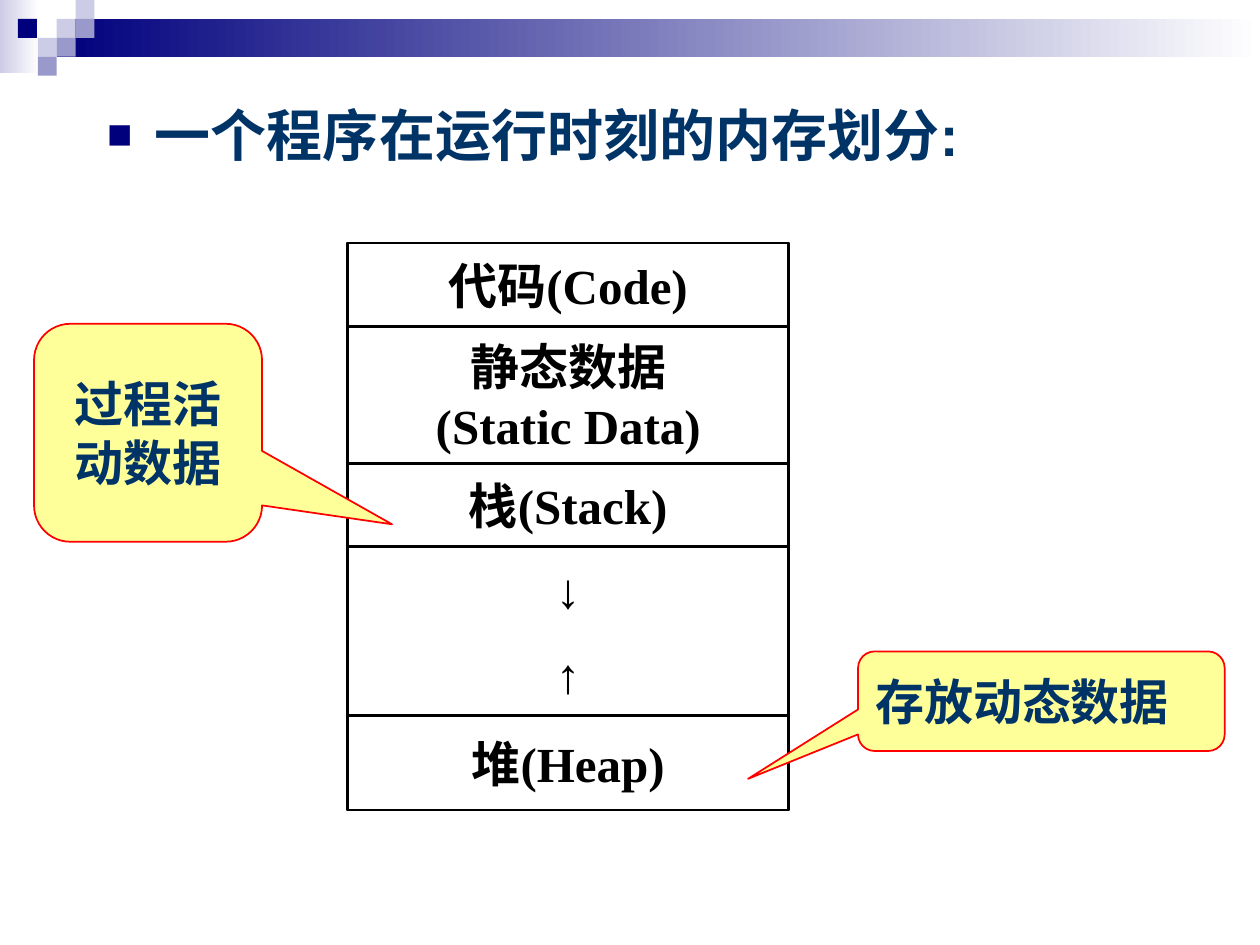
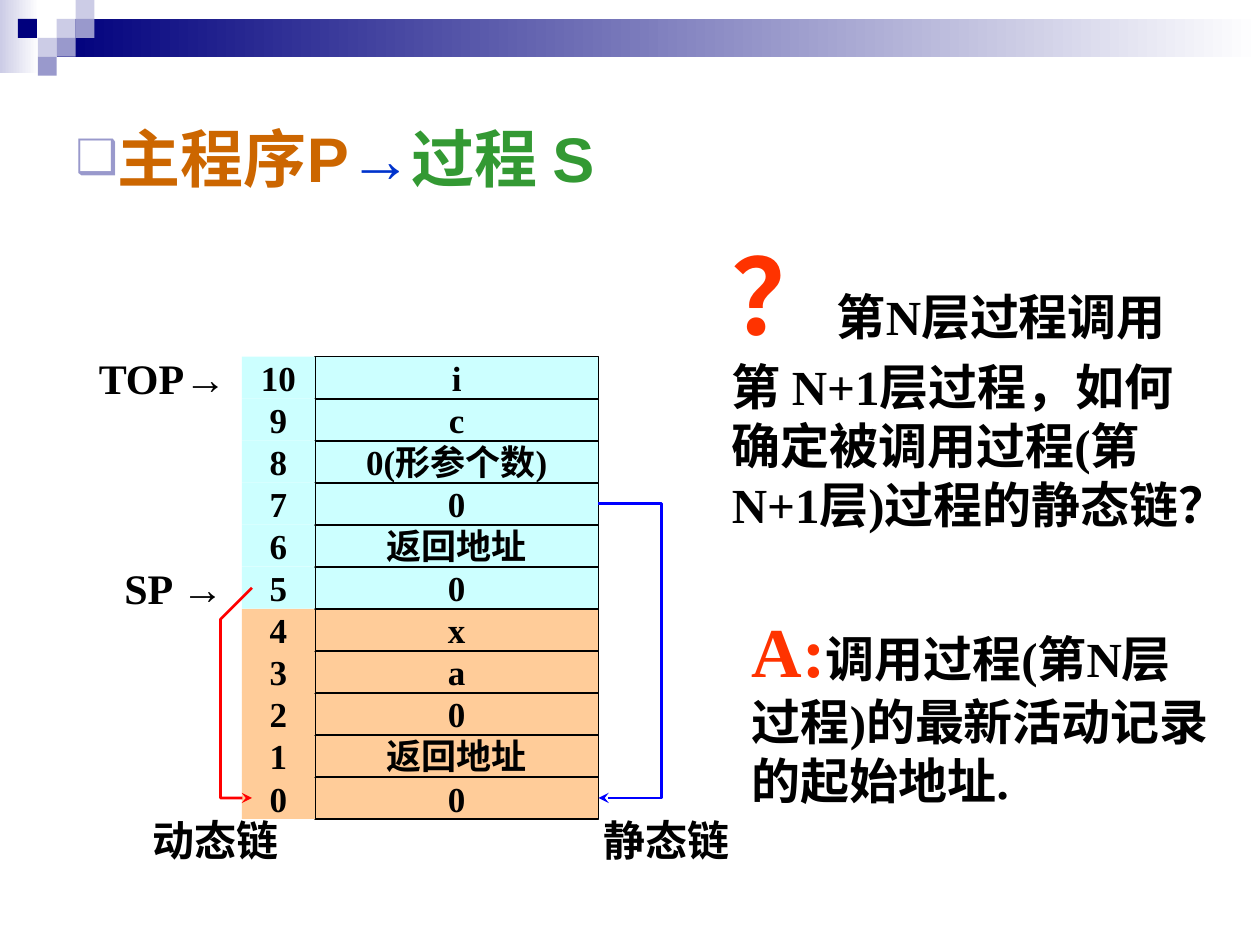
from dataclasses import dataclass
from typing import NamedTuple

from lxml import etree
from pptx import Presentation
from pptx import util as u
from pptx.dml.color import RGBColor
from pptx.enum import shapes, text
from pptx.oxml import ns


@dataclass(frozen=True)
class Theme:
    sans: str = "Arial"
    serif: str = "Times New Roman"
    black: str = "000000"
    white: str = "FFFFFF"
    navy: str = "00007D"
    lilac: str = "9999CC"
    pale_lilac: str = "CCCCE6"
    ink: str = "003366"
    note: str = "FFFF99"
    red: str = "FF0000"
    blue: str = "0000FF"
    accent: str = "FF3300"
    caller: str = "CC6600"
    arrow: str = "0033CC"
    callee: str = "339933"
    main_record: str = "FFCC99"
    call_record: str = "CCFFFF"
    question_mark: int = 60
    answer_mark: int = 40
    call_title: int = 36
    heading: int = 32
    body: int = 28
    label: int = 24
    cell: int = 20


T = Theme()


class Box(NamedTuple):
    left: float
    top: float
    width: float
    height: float

    def inches(self):
        return [u.Inches(length) for length in self]


class Words(NamedTuple):
    """One run of text with its look."""
    content: str
    size: int
    color: str = T.black
    font: str = T.serif


def rgb(color):
    return RGBColor.from_string(color)


def add_words(paragraph, runs):
    for words in runs:
        run = paragraph.add_run()
        run.text = words.content
        run.font.size = u.Pt(words.size)
        run.font.name = words.font
        run.font.bold = True
        run.font.color.rgb = rgb(words.color)


def write(shape, lines, align=text.PP_ALIGN.CENTER, anchor=text.MSO_ANCHOR.MIDDLE,
          wrap=False, margin=0.05):
    """Fill a shape with paragraphs, each a list of Words."""
    frame = shape.text_frame
    frame.word_wrap = wrap
    frame.vertical_anchor = anchor
    frame.margin_left = frame.margin_right = u.Inches(0.1)
    frame.margin_top = frame.margin_bottom = u.Inches(margin)
    for index, runs in enumerate(lines):
        paragraph = frame.add_paragraph() if index else frame.paragraphs[0]
        paragraph.alignment = align
        add_words(paragraph, runs)


def add_block(slide, box, fill=None, line=None, weight=1.5,
              kind=shapes.MSO_SHAPE.RECTANGLE):
    block = slide.shapes.add_shape(kind, *box.inches())
    block.shadow.inherit = False
    if fill:
        block.fill.solid()
        block.fill.fore_color.rgb = rgb(fill)
    else:
        block.fill.background()
    if line:
        block.line.color.rgb = rgb(line)
        block.line.width = u.Pt(weight)
    else:
        block.line.fill.background()
    return block


def add_label(slide, box, runs, **layout):
    write(slide.shapes.add_textbox(*box.inches()), [runs], **layout)


def add_header(slide):
    """Fading bands and the checkered corner."""
    for box, start in ((Box(0, 0, 0.31, 0.58), T.pale_lilac),
                       (Box(0.45, 0.15, 9.55, 0.3), T.navy)):
        band = add_block(slide, box)
        band.fill.gradient()
        band.fill.gradient_angle = 0
        for stop, color, position in zip(band.fill.gradient_stops,
                                         (start, T.white), (0, 1)):
            stop.color.rgb = rgb(color)
            stop.position = position
    side = 0.15
    checks = ((3, 1, T.pale_lilac), (4, 0, T.pale_lilac), (4, 1, T.lilac),
              (2, 2, T.pale_lilac), (0.95, 1, T.navy), (3, 2, T.lilac),
              (2, 3, T.lilac))
    for column, row, color in checks:
        add_block(slide, Box(column * side, row * side, side, side), color)


def set_title(slide, box, runs, bullet, bullet_color, anchor, indent=0.0):
    title = slide.shapes.title
    title.left, title.top, title.width, title.height = box.inches()
    title.text_frame.auto_size = text.MSO_AUTO_SIZE.NONE
    properties = title.text_frame.paragraphs[0]._p.get_or_add_pPr()
    properties.set("marL", str(u.Inches(indent)))
    properties.set("indent", str(-u.Inches(indent)))
    color = etree.SubElement(properties, ns.qn("a:buClr"))
    etree.SubElement(color, ns.qn("a:srgbClr"), val=bullet_color)
    etree.SubElement(properties, ns.qn("a:buSzPct"), val="75000")
    etree.SubElement(properties, ns.qn("a:buFont"), typeface=T.sans)
    etree.SubElement(properties, ns.qn("a:buChar"), char=bullet)
    write(title, [runs], text.PP_ALIGN.LEFT, anchor, wrap=True)


def add_memory_map(slide, box):
    rows = ((0.66, ["代码(Code)"]), (1.09, ["静态数据", "(Static Data)"]),
            (0.66, ["栈(Stack)"]), (0.67, ["↓"]), (0.67, ["↑"]),
            (0.75, ["堆(Heap)"]))
    top = box.top
    for height, lines in rows:
        row = Box(box.left, top, box.width, height)
        if lines[0] in "↓↑":
            add_label(slide, row, [Words(lines[0], T.body, font=T.sans)])
        else:
            write(add_block(slide, row, line=T.black),
                  [[Words(line, T.body)] for line in lines])
        top += height
    add_block(slide, box, line=T.black)


def add_callout(slide, box, content, pointer, align):
    callout = add_block(slide, box, T.note, T.red, 1,
                        shapes.MSO_SHAPE.ROUNDED_RECTANGULAR_CALLOUT)
    callout.adjustments[0], callout.adjustments[1] = pointer
    write(callout, [[Words(content, T.body, T.ink, T.sans)]], align, wrap=True)


def add_link(slide, points, color):
    """Bent line that ends in an arrowhead."""
    start, *rest = [(u.Inches(x), u.Inches(y)) for x, y in points]
    builder = slide.shapes.build_freeform(*start)
    builder.add_line_segments(rest, close=False)
    link = builder.convert_to_shape()
    link.shadow.inherit = False
    link.fill.background()
    link.line.color.rgb = rgb(color)
    link.line.width = u.Pt(1.5)
    etree.SubElement(link.line._get_or_add_ln(), ns.qn("a:tailEnd"), type="stealth")


def add_call_stack(slide, box):
    """Cells numbered upwards from 0, with pointers and chain links."""
    main_record = ["0", "返回地址", "0", "a", "x"]
    call_record = ["0", "返回地址", "0", "0(形参个数)", "c", "i"]
    cells = main_record + call_record
    height = box.height / len(cells)
    bottom = box.top + box.height
    right = box.left + box.width
    address_width = 0.58

    def row_top(address):
        return bottom - (address + 1) * height

    def row_middle(address):
        return row_top(address) + height / 2

    for address, content in enumerate(cells):
        fill = T.main_record if address < len(main_record) else T.call_record
        top = row_top(address)
        value = Box(box.left + address_width, top, box.width - address_width, height)
        write(add_block(slide, value, fill, T.black, 1),
              [[Words(content, T.cell)]], margin=0)
        number = Box(box.left, top, address_width, height)
        write(add_block(slide, number, fill), [[Words(str(address), T.cell)]], margin=0)

    for name, address, offset in (("SP ", 5, -1.25), ("TOP", 10, -1.34)):
        add_label(slide, Box(box.left + offset, row_top(address), 1.42, height),
                  [Words(name, T.label), Words("→", T.label, font=T.sans)])
    for name, offset in (("动态链", -0.92), ("静态链", 2.66)):
        add_label(slide, Box(box.left + offset, bottom, 1.42, height),
                  [Words(name, T.label)])

    inner, outer = box.left + 0.08, box.left - 0.17
    add_link(slide, [(inner, row_middle(5)), (outer, row_middle(5) + 0.25),
                     (outer, row_middle(0)), (inner, row_middle(0))], T.red)
    add_link(slide, [(right, row_middle(7)), (right + 0.5, row_middle(7)),
                     (right + 0.5, row_middle(0)), (right, row_middle(0))], T.blue)


def add_question(slide, box):
    paragraph = dict(align=text.PP_ALIGN.LEFT, anchor=text.MSO_ANCHOR.TOP, wrap=True)
    add_label(slide, Box(box.left, box.top, box.width, 2.97), [
        Words("？", T.question_mark, T.accent),
        Words("第N层过程调用第 N+1层过程，如何确定被调用过程(第 N+1层)过程的静态链？",
              T.body)], **paragraph)
    add_label(slide, Box(box.left + 0.16, box.top + 2.99, box.width - 0.16, 1.7), [
        Words("A:", T.answer_mark, T.accent),
        Words("调用过程(第N层过程)的最新活动记录的起始地址.", T.body)], **paragraph)


def build_memory_slide(slide):
    add_header(slide)
    set_title(slide, Box(0.75, 0.75, 8.58, 0.75),
              [Words("一个程序在运行时刻的内存划分:", T.heading, T.ink, T.sans)],
              "■", T.navy, text.MSO_ANCHOR.TOP, indent=0.38)
    add_memory_map(slide, Box(2.76, 1.93, 3.5, 4.5))
    add_callout(slide, Box(6.81, 5.17, 2.91, 0.79), "存放动态数据",
                (-0.8, 0.78), text.PP_ALIGN.LEFT)
    add_callout(slide, Box(0.27, 2.57, 1.81, 1.73), "过程活动数据",
                (1.07, 0.42), text.PP_ALIGN.CENTER)


def build_call_slide(slide):
    add_header(slide)
    set_title(slide, Box(0.5, 0.5, 9, 1.5),
              [Words("主程序P", T.call_title, T.caller, T.sans),
               Words("→", T.call_title, T.arrow, T.sans),
               Words("过程 S", T.call_title, T.callee, T.sans)],
              "❑", T.lilac, text.MSO_ANCHOR.MIDDLE)
    add_call_stack(slide, Box(1.92, 2.83, 2.83, 3.67))
    add_question(slide, Box(5.71, 1.78, 4.02, 4.69))


def main():
    deck = Presentation()
    deck.slide_width, deck.slide_height = u.Inches(10), u.Inches(7.5)
    title_only = deck.slide_layouts[5]
    for build in (build_memory_slide, build_call_slide):
        build(deck.slides.add_slide(title_only))
    deck.save("out.pptx")


if __name__ == "__main__":
    main()
